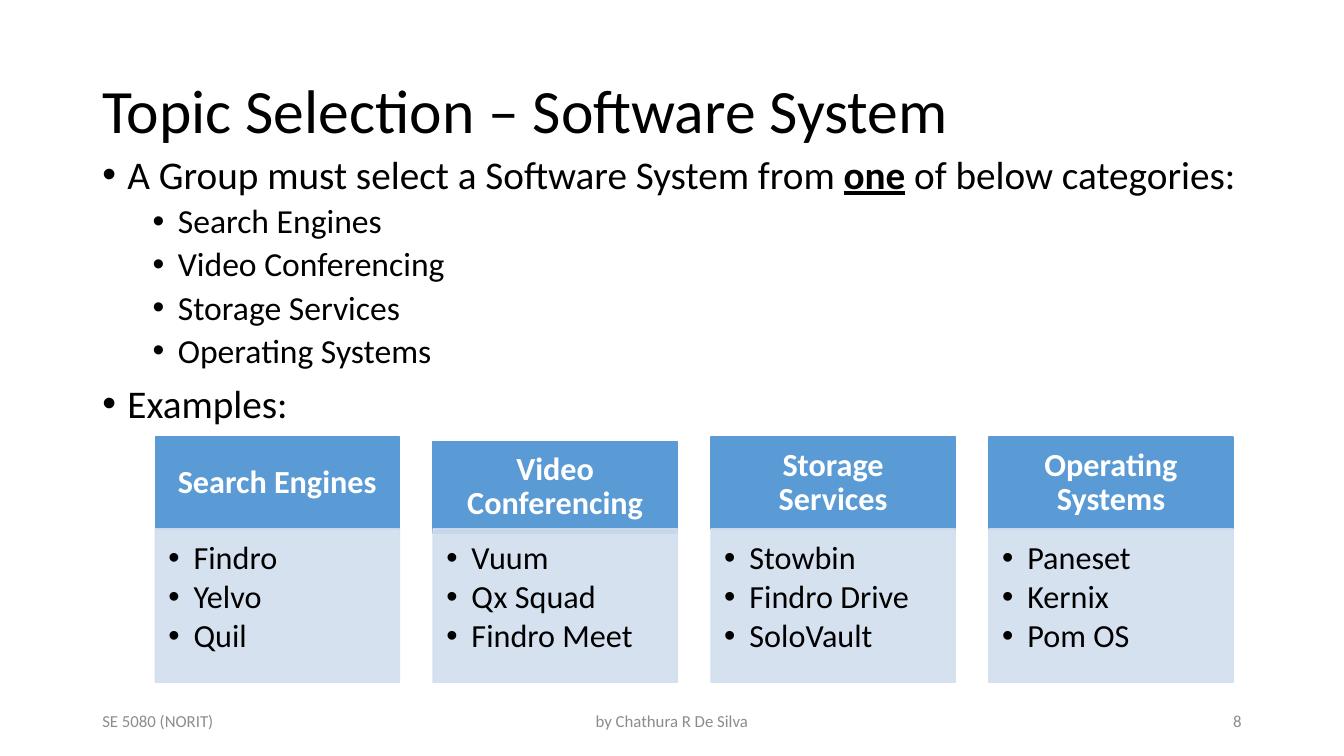
from lxml.etree import SubElement
from pptx import Presentation
from pptx.dml.color import RGBColor
from pptx.enum.shapes import MSO_SHAPE
from pptx.enum.text import MSO_ANCHOR, PP_ALIGN
from pptx.oxml.ns import qn
from pptx.util import Pt

TITLE = "Topic Selection – Software System"
INTRO = [
    ("A Group must select a Software System from ", False),
    ("one", True),
    (" of below categories:", False),
]
CATEGORIES = [
    ("Search Engines", ["Findro", "Yelvo", "Quil"], 0),
    ("Video Conferencing", ["Vuum", "Qx Squad", "Findro Meet"], 3),
    ("Storage Services", ["Stowbin", "Findro Drive", "SoloVault"], 0),
    ("Operating Systems", ["Paneset", "Kernix", "Pom OS"], 0),
]
EXAMPLES = "Examples:"
FOOTERS = [
    ("SE 5080 (NORIT)", 66, 216, PP_ALIGN.LEFT),
    ("by Chathura R De Silva", 318, 324, PP_ALIGN.CENTER),
    ("8", 678, 216, PP_ALIGN.RIGHT),
]
COLORS = {
    "text": "000000",
    "footer": "8C8C8C",
    "header": "5B9BD5",
    "header_text": "FFFFFF",
    "panel": "D2DEEF",
}
FONT = "Calibri"
CARD_LEFT, CARD_STEP, CARD_WIDTH = 110.9, 198.5, 174.5
HEADER_TOP, HEADER_HEIGHT = 312.2, 65.6
PANEL_TOP, PANEL_HEIGHT = 377.8, 109.6
PANEL_OPACITY = 90


def set_frame(shape, anchor, insets=(7.2, 3.6, 7.2, 3.6)):
    frame = shape.text_frame
    frame.word_wrap = True
    frame.vertical_anchor = anchor
    frame.margin_left, frame.margin_top, frame.margin_right, frame.margin_bottom = map(Pt, insets)
    return frame


def add_text_box(page, left, top, width, height, anchor):
    box = page.shapes.add_textbox(Pt(left), Pt(top), Pt(width), Pt(height))
    return set_frame(box, anchor)


def add_para(frame, spans, size, color, align=PP_ALIGN.LEFT, bold=False,
             spacing=0.9, before=0, after=0, indent=None):
    first = frame.paragraphs[0]
    para = frame.add_paragraph() if first.runs else first
    para.alignment = align
    para.line_spacing = spacing
    para.space_before = Pt(before)
    para.space_after = Pt(after)
    if indent:
        properties = para._p.get_or_add_pPr()
        properties.set("marL", str(Pt(indent)))
        properties.set("indent", str(Pt(-18)))
        SubElement(properties, qn("a:buFont"), typeface="Arial")
        SubElement(properties, qn("a:buChar"), char="•")
    for text, stressed in spans:
        span = para.add_run()
        span.text = text
        span.font.name = FONT
        span.font.size = Pt(size)
        span.font.bold = bold or stressed
        span.font.underline = stressed
        span.font.color.rgb = RGBColor.from_string(COLORS[color])


def add_block(page, left, top, height, color, opacity=100):
    block = page.shapes.add_shape(
        MSO_SHAPE.RECTANGLE, Pt(left), Pt(top), Pt(CARD_WIDTH), Pt(height))
    block.shadow.inherit = False
    block.line.width = Pt(1)
    for fill in (block.fill, block.line.fill):
        fill.solid()
        fill.fore_color.rgb = RGBColor.from_string(COLORS[color])
    if opacity < 100:
        for tint in block._element.spPr.iter(qn("a:srgbClr")):
            SubElement(tint, qn("a:alpha"), val=str(opacity * 1000))
    return block


def add_card(page, left, name, examples, drop):
    header = add_block(page, left, HEADER_TOP + drop, HEADER_HEIGHT, "header")
    frame = set_frame(header, MSO_ANCHOR.MIDDLE, (13, 7.2, 13, 7.2))
    add_para(frame, [(name, False)], 23, "header_text", PP_ALIGN.CENTER, bold=True)
    panel = add_block(page, left, PANEL_TOP, PANEL_HEIGHT, "panel", PANEL_OPACITY)
    frame = set_frame(panel, MSO_ANCHOR.TOP, (9.4, 9.4, 13, 14.4))
    for example in examples:
        add_para(frame, [(example, False)], 23, "text", after=3, indent=18)


def main():
    deck = Presentation()
    deck.slide_width, deck.slide_height = Pt(960), Pt(540)
    page = deck.slides.add_slide(deck.slide_layouts[6])

    title = add_text_box(page, 66, 28.8, 828, 104.4, MSO_ANCHOR.MIDDLE)
    add_para(title, [(TITLE, False)], 44, "text")

    body = add_text_box(page, 66, 107.3, 828, 393.1, MSO_ANCHOR.TOP)
    add_para(body, INTRO, 28, "text", before=10, indent=18)
    for name, _, _ in CATEGORIES:
        add_para(body, [(name, False)], 24, "text", before=5, indent=54)
    add_para(body, [(EXAMPLES, False)], 28, "text", before=10, indent=18)

    for text, left, width, align in FOOTERS:
        footer = add_text_box(page, left, 500.5, width, 28.8, MSO_ANCHOR.MIDDLE)
        add_para(footer, [(text, False)], 12, "footer", align, spacing=1.0)

    for index, (name, examples, drop) in enumerate(CATEGORIES):
        add_card(page, CARD_LEFT + index * CARD_STEP, name, examples, drop)

    deck.save("out.pptx")


if __name__ == "__main__":
    main()
